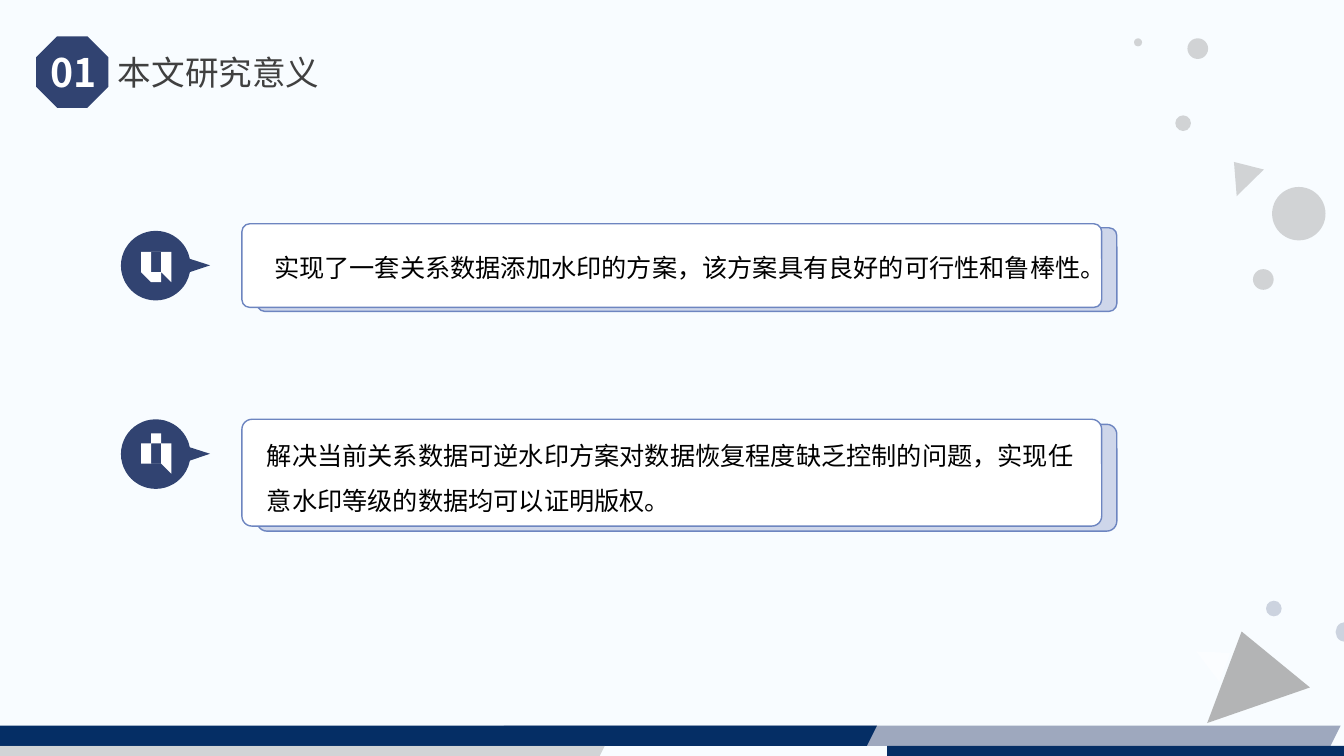
import math

import lxml.etree
import pptx
import pptx.dml.color
import pptx.enum.shapes
import pptx.enum.text
import pptx.oxml.ns
import pptx.util

COLS, ROWS = 133.33, 75
CELL = 91440
FONT = "Noto Sans CJK SC"
NAVY, DEEP_BLUE, GREY, DARK_GREY = "314371", "052E65", "A5A5A5", "7F7F7F"
WHITE, PALE_BLUE, EDGE_BLUE = "FFFFFF", "CED6EA", "6D85C0"
SHAPE = pptx.enum.shapes.MSO_SHAPE
ALIGN = pptx.enum.text.PP_ALIGN
ANCHOR = pptx.enum.text.MSO_ANCHOR
AUTO = pptx.enum.text.MSO_AUTO_SIZE


def grid(*cells):
    return [pptx.util.Emu(round(c * CELL)) for c in cells]


def paint(fill, color, alpha=100):
    fill.solid()
    fill.fore_color.rgb = pptx.dml.color.RGBColor.from_string(color)
    if alpha < 100:
        clr = fill._xPr.find(".//" + pptx.oxml.ns.qn("a:srgbClr"))
        lxml.etree.SubElement(clr, pptx.oxml.ns.qn("a:alpha"), val=str(alpha * 1000))


def finish(sp, color, alpha=100, edge=None):
    sp.shadow.inherit = False
    paint(sp.fill, color, alpha)
    if edge:
        paint(sp.line.fill, edge)
        sp.line.width = pptx.util.Pt(1)
    else:
        sp.line.fill.background()
    return sp


def add_preset(slide, kind, box, color, alpha=100, edge=None, adj=(), rot=0):
    sp = slide.shapes.add_shape(kind, *grid(*box))
    for i, value in enumerate(adj):
        sp.adjustments[i] = value
    sp.rotation = rot
    return finish(sp, color, alpha, edge)


def add_outline(slide, contours, color, alpha=100):
    first, *others = contours
    fb = slide.shapes.build_freeform(*first[0], scale=CELL)
    fb.add_line_segments(first[1:], close=True)
    for pts in others:
        fb.move_to(*pts[0])
        fb.add_line_segments(pts[1:], close=True)
    return finish(fb.convert_to_shape(), color, alpha)


def arc(cx, cy, radius, start, end, steps=24):
    angles = [math.radians(start + (end - start) * i / steps) for i in range(steps + 1)]
    return [(cx + radius * math.cos(a), cy + radius * math.sin(a)) for a in angles]


def write(sp, text, size=18, color="000000", bold=False, align=ALIGN.LEFT,
          wrap=True, spacing=None, auto=AUTO.SHAPE_TO_FIT_TEXT):
    tf = sp.text_frame
    tf.word_wrap = wrap
    tf.auto_size = auto
    tf.vertical_anchor = ANCHOR.TOP
    for i, line in enumerate(text.split("\n")):
        p = tf.paragraphs[0] if i == 0 else tf.add_paragraph()
        p.alignment = align
        if spacing:
            p.line_spacing = spacing
        r = p.add_run()
        r.text = line
        r.font.size = pptx.util.Pt(size)
        r.font.bold = bold
        paint(r.font.fill, color)
        r.font.name = FONT
        lxml.etree.SubElement(r.font._element, pptx.oxml.ns.qn("a:ea"), typeface=FONT)


def add_text(slide, box, text, **style):
    write(slide.shapes.add_textbox(*grid(*box)), text, **style)


def add_stripe(slide, left, top, width, height, color, alpha=100):
    slant = height / 2
    right, bottom = left + width, top + height
    corners = [(left + slant, top), (right, top), (right - slant, bottom), (left, bottom)]
    add_outline(slide, [corners], color, alpha)


def add_magnifier(slide, left, top):
    cx, cy = left + 1.45, top + 1.45
    rim = arc(cx, cy, 1.45, 57, 393) + arc(left + 3.1, top + 3.1, 0.3, -45, 135)
    lens = arc(cx, cy, 0.85, 360, 0)
    glint = arc(cx, cy, 0.56, 175, 275) + arc(cx, cy, 0.32, 275, 175)
    add_outline(slide, [rim, lens, glint], WHITE)


def add_card(slide, top, height, shift):
    for dx, dy, color in ((1.5, shift, PALE_BLUE), (0, 0, WHITE)):
        add_preset(slide, SHAPE.ROUNDED_RECTANGLE, (24 + dx, top + dy, 85.3, height),
                   color, edge=EDGE_BLUE, adj=[0.094])


def add_callout(slide, top):
    add_preset(slide, SHAPE.OVAL_CALLOUT, (12, top, 6.9, 6.9), NAVY, adj=[0.781, -0.004])
    add_magnifier(slide, 13.9, top + 1.85)


def add_decoration(slide):
    add_stripe(slide, 87.7, 74.2, 50.9, 0.95, DEEP_BLUE)
    add_stripe(slide, 49.2, 71.5, 84.1, 2, NAVY, 45)
    add_stripe(slide, -6.6, 72.3, 93.6, 1.7, DEEP_BLUE)
    add_stripe(slide, -24.1, 73.7, 84.1, 2, GREY, 45)
    for box, rot, color, alpha in (
        ((120.5, 64.5, 9.7, 8.3), 110.6, GREY, 82),
        ((118.6, 64.7, 3.4, 2.9), 182.5, WHITE, 55),
        ((122.3, 16.2, 3.4, 2.9), 85.4, DARK_GREY, 32),
    ):
        add_preset(slide, SHAPE.ISOSCELES_TRIANGLE, box, color, alpha, adj=[0.29], rot=rot)
    for left, top, size, color, alpha in (
        (132.5, 61.7, 2, NAVY, 22),
        (125.6, 59.6, 1.55, NAVY, 22),
        (126.2, 18.55, 5.3, DARK_GREY, 32),
        (117.8, 3.8, 2.05, DARK_GREY, 32),
        (112.5, 3.8, 0.8, DARK_GREY, 32),
        (116.6, 11.45, 1.55, DARK_GREY, 32),
        (124.3, 26.7, 2.05, DARK_GREY, 32),
    ):
        add_preset(slide, SHAPE.OVAL, (left, top, size, size), color, alpha)


def add_heading(slide):
    add_preset(slide, SHAPE.OCTAGON, (3.6, 3.6, 7.15, 7.1), NAVY)
    add_text(slide, (3.8, 4.3, 6.9, 5.7), "01", size=28, color=WHITE,
             bold=True, align=ALIGN.CENTER)
    title = slide.shapes.title
    title.left, title.top, title.width, title.height = grid(10.7, 4.6, 38.3, 5)
    write(title, "本文研究意义", size=24, color="404040", auto=AUTO.NONE)


def main():
    prs = pptx.Presentation()
    prs.slide_width, prs.slide_height = grid(COLS, ROWS)
    slide = prs.slides.add_slide(prs.slide_layouts[5])
    paint(slide.background.fill, "F8FCFF")
    add_decoration(slide)
    add_heading(slide)
    add_card(slide, 41.6, 10.6, 0.5)
    add_card(slide, 22.2, 8.3, 0.4)
    add_text(slide, (26.2, 24.5, 84.5, 4),
             "实现了一套关系数据添加水印的方案，该方案具有良好的可行性和鲁棒性。", wrap=False)
    add_text(slide, (25.5, 41.7, 82.8, 9.6),
             "解决当前关系数据可逆水印方案对数据恢复程度缺乏控制的问题，实现任\n"
             "意水印等级的数据均可以证明版权。", wrap=False, spacing=1.5)
    for top in (22.9, 41.6):
        add_callout(slide, top)
    prs.save("out.pptx")


if __name__ == "__main__":
    main()
